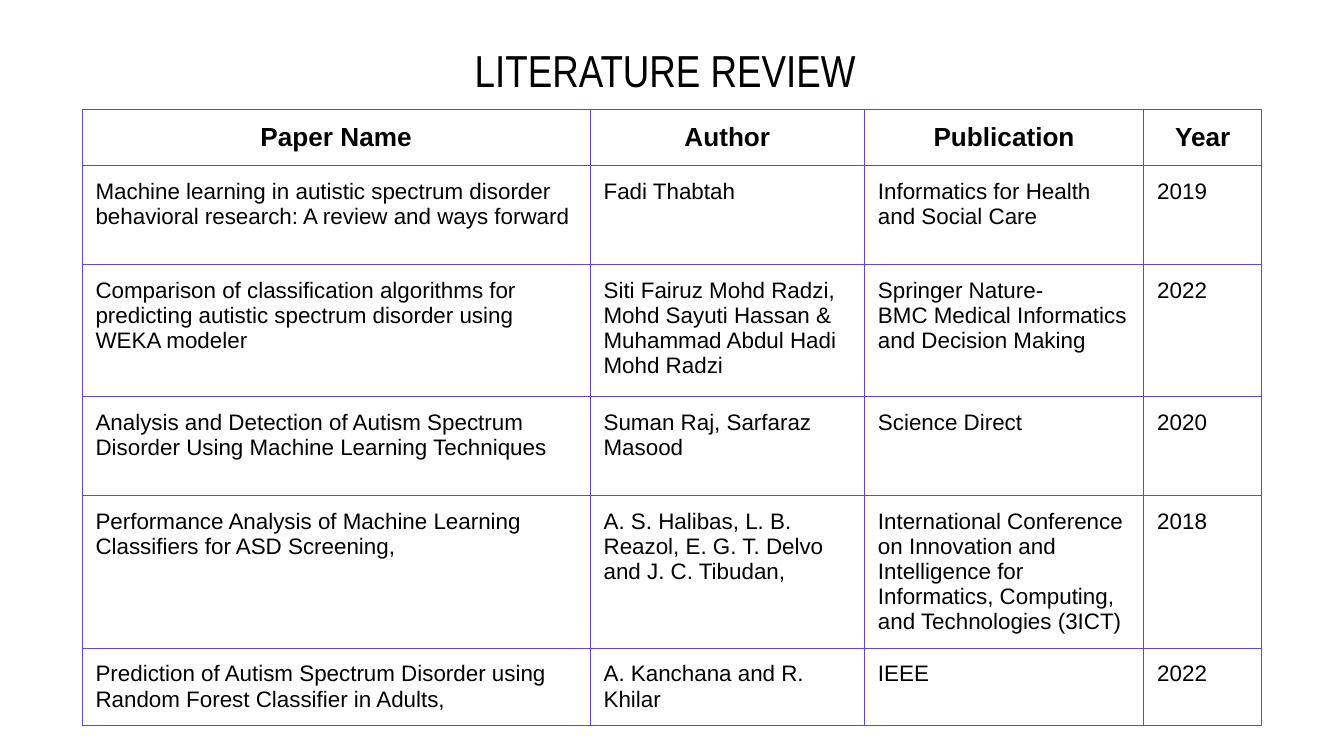
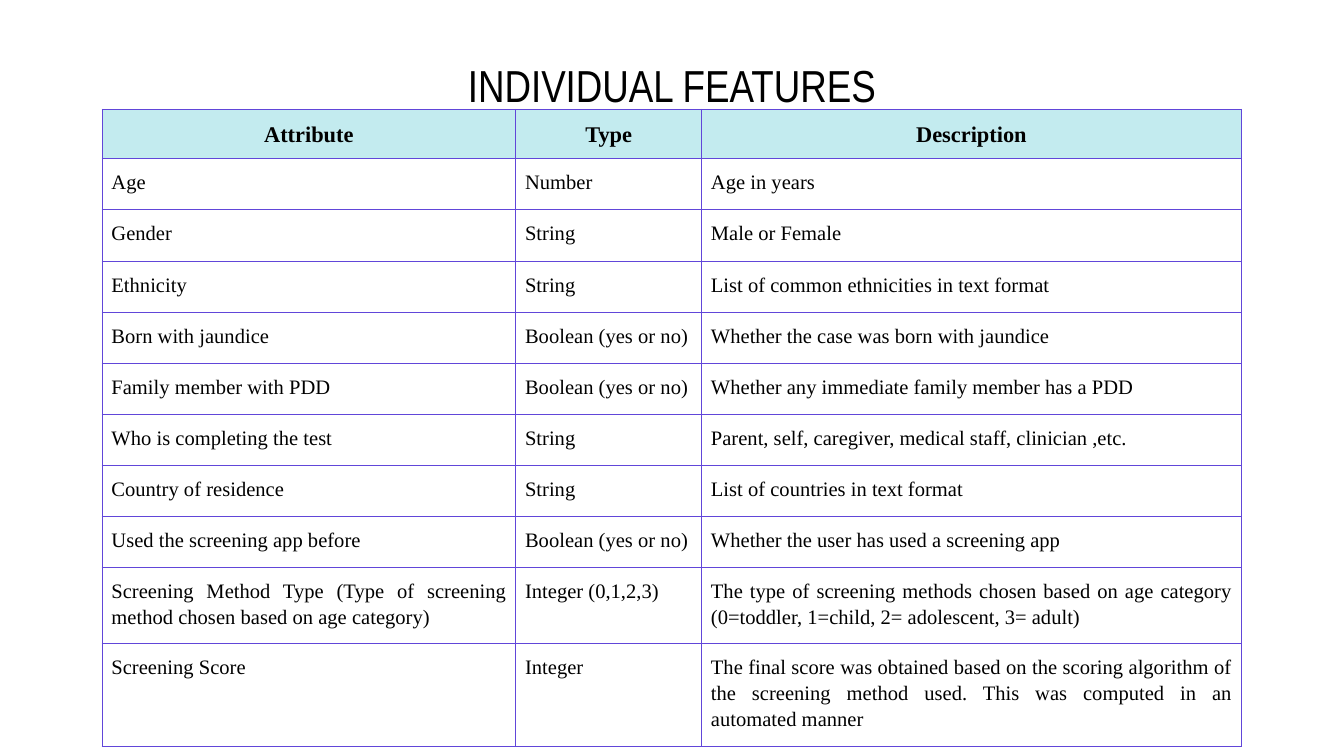
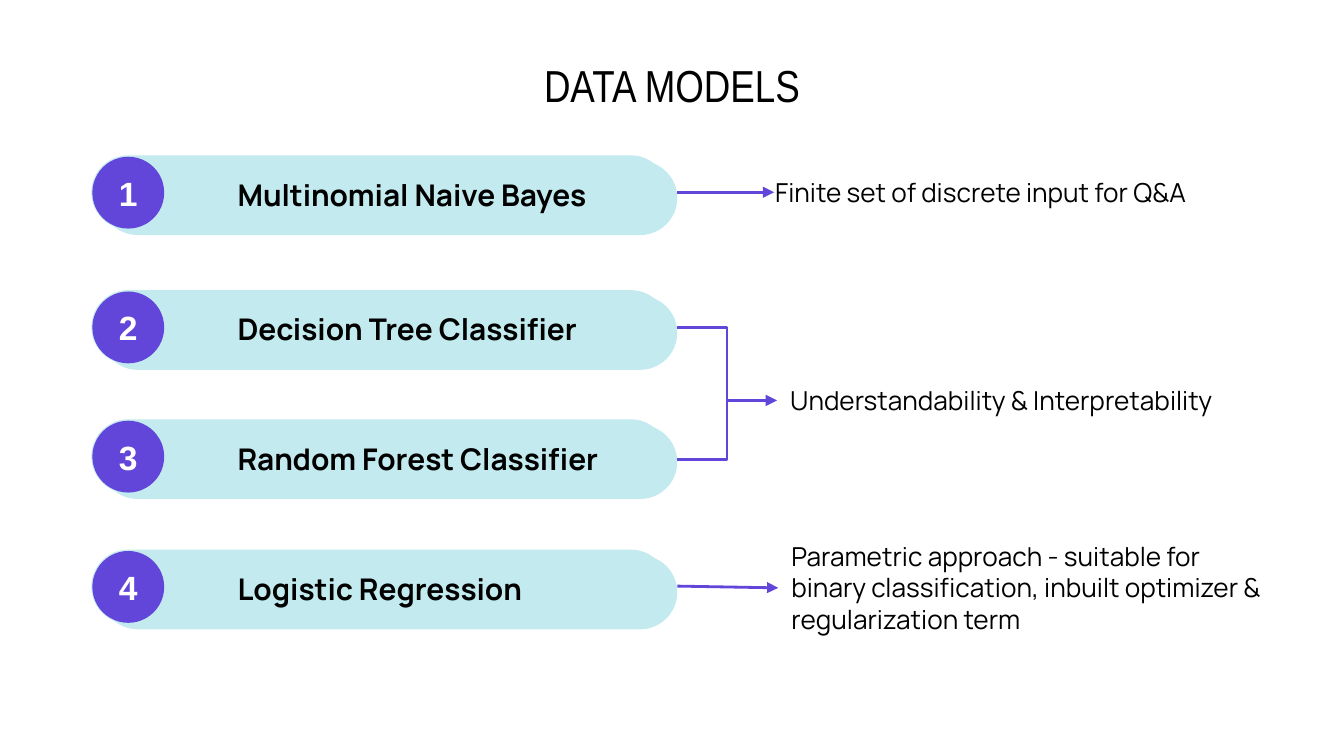
from dataclasses import dataclass

from lxml import etree
from pptx import Presentation
from pptx import util as u
from pptx.dml.color import RGBColor
from pptx.enum import shapes, text
from pptx.oxml import ns

Pt = u.Pt
ALIGN = text.PP_ALIGN


@dataclass(frozen=True)
class Theme:
    ink: str = "000000"
    white: str = "FFFFFF"
    purple: str = "6146D9"
    aqua: str = "C3EBEF"
    title_font: str = "Arial Narrow"
    sans: str = "Arial"
    serif: str = "Times New Roman"
    label_font: str = "Manrope"
    title_size: float = 24
    badge_size: float = 18
    model_size: float = 16
    note_size: float = 14
    inset: float = 7.2
    stroke: float = 1.5


THEME = Theme()


@dataclass(frozen=True)
class TableStyle:
    font: str
    header_size: float
    body_size: float
    body_align: ALIGN
    line_spacing: float
    inset: float
    border: float
    header_fill: str = ""


REVIEW_STYLE = TableStyle(THEME.sans, 14, 12, ALIGN.LEFT, 1.0, 7.2, 0.75)
FEATURE_STYLE = TableStyle(THEME.serif, 12, 11, ALIGN.JUSTIFY, 1.15, 5, 0.5, THEME.aqua)

REVIEW_ROWS = [
    ("Paper Name", "Author", "Publication", "Year"),
    ("Machine learning in autistic spectrum disorder behavioral research: A review and ways forward",
     "Fadi Thabtah", "Informatics for Health and Social Care", "2019"),
    ("Comparison of classification algorithms for predicting autistic spectrum disorder using WEKA modeler",
     "Siti Fairuz Mohd Radzi, Mohd Sayuti Hassan & Muhammad Abdul Hadi Mohd Radzi",
     "Springer Nature-\nBMC Medical Informatics and Decision Making", "2022"),
    ("Analysis and Detection of Autism Spectrum Disorder Using Machine Learning Techniques",
     "Suman Raj, Sarfaraz Masood", "Science Direct", "2020"),
    ("Performance Analysis of Machine Learning Classifiers for ASD Screening,",
     "A. S. Halibas, L. B. Reazol, E. G. T. Delvo and J. C. Tibudan,",
     "International Conference on Innovation and Intelligence for Informatics, Computing, "
     "and Technologies (3ICT)", "2018"),
    ("Prediction of Autism Spectrum Disorder using Random Forest Classifier in Adults,",
     "A. Kanchana and R. Khilar", "IEEE", "2022"),
]

FEATURE_ROWS = [
    ("Attribute", "Type", "Description"),
    ("Age", "Number", "Age in years"),
    ("Gender", "String", "Male or Female"),
    ("Ethnicity", "String", "List of common ethnicities in text format"),
    ("Born with jaundice", "Boolean (yes or no)", "Whether the case was born with jaundice"),
    ("Family member with PDD", "Boolean (yes or no)", "Whether any immediate family member has a PDD"),
    ("Who is completing the test", "String", "Parent, self, caregiver, medical staff, clinician ,etc."),
    ("Country of residence", "String", "List of countries in text format"),
    ("Used the screening app before", "Boolean (yes or no)", "Whether the user has used a screening app"),
    ("Screening Method Type (Type of screening method chosen based on age category)", "Integer (0,1,2,3)",
     "The type of screening methods chosen based on age category "
     "(0=toddler, 1=child, 2= adolescent, 3= adult)"),
    ("Screening Score", "Integer",
     "The final score was obtained based on the scoring algorithm of the screening method used. "
     "This was computed in an automated manner"),
]

MODELS = [
    ("Multinomial Naive Bayes", 84),
    ("Decision Tree Classifier", 156.2),
    ("Random Forest Classifier", 225.4),
    ("Logistic Regression", 295.2),
]


def rgb(color):
    return RGBColor.from_string(color)


def format_text(frame, font, size, color=THEME.ink, bold=False, align=ALIGN.LEFT, spacing=1.0):
    for paragraph in frame.paragraphs:
        paragraph.alignment = align
        paragraph.line_spacing = spacing
        for run in paragraph.runs:
            run.font.name = font
            run.font.size = Pt(size)
            run.font.bold = bold
            run.font.color.rgb = rgb(color)


def set_insets(target, inset):
    target.margin_left = target.margin_right = Pt(inset)
    target.margin_top = target.margin_bottom = Pt(inset)


def add_label(slide, words, left, top, width, height, font, size, **style):
    box = slide.shapes.add_textbox(Pt(left), Pt(top), Pt(width), Pt(height))
    frame = box.text_frame
    frame.word_wrap = True
    set_insets(frame, THEME.inset)
    frame.text = words
    format_text(frame, font, size, **style)
    return box


def add_title(slide, words, left=36, top=32.4):
    title = add_label(slide, words, left, top, 648, 26,
                      THEME.title_font, THEME.title_size, align=ALIGN.CENTER)
    title.text_frame.vertical_anchor = text.MSO_ANCHOR.MIDDLE


def add_borders(cell, width):
    properties = cell._tc.get_or_add_tcPr()
    for side in ("lnL", "lnR", "lnT", "lnB"):
        line = etree.SubElement(properties, ns.qn(f"a:{side}"), w=str(Pt(width)))
        fill = etree.SubElement(line, ns.qn("a:solidFill"))
        etree.SubElement(fill, ns.qn("a:srgbClr"), val=THEME.purple)


def fill_cell(cell, words, style, is_header):
    cell.text = words
    set_insets(cell, style.inset)
    format_text(cell.text_frame, style.font,
                style.header_size if is_header else style.body_size, bold=is_header,
                align=ALIGN.CENTER if is_header else style.body_align, spacing=style.line_spacing)
    add_borders(cell, style.border)
    if is_header and style.header_fill:
        cell.fill.solid()
        cell.fill.fore_color.rgb = rgb(style.header_fill)
    else:
        cell.fill.background()


def add_grid(slide, rows, left, top, widths, heights, style):
    frame = slide.shapes.add_table(len(rows), len(widths), Pt(left), Pt(top),
                                   Pt(sum(widths)), Pt(sum(heights)))
    table = frame.table
    table.first_row = table.horz_banding = False
    for column, width in zip(table.columns, widths):
        column.width = Pt(width)
    for row_index, (row, height, entries) in enumerate(zip(table.rows, heights, rows)):
        row.height = Pt(height)
        for cell, words in zip(row.cells, entries):
            fill_cell(cell, words, style, row_index == 0)


def add_solid(parent, kind, left, top, width, height, color):
    shape = parent.shapes.add_shape(kind, Pt(left), Pt(top), Pt(width), Pt(height))
    shape.shadow.inherit = False
    shape.fill.solid()
    shape.fill.fore_color.rgb = rgb(color)
    shape.line.fill.background()
    return shape


def add_pill(slide, top):
    group = slide.shapes.add_group_shape()
    for left, offset in ((54.7, 3), (49.7, 0)):
        pill = add_solid(group, shapes.MSO_SHAPE.ROUNDED_RECTANGLE,
                         left, top + offset, 307.4, 38.2, THEME.aqua)
        pill.adjustments[0] = 0.5
        pill.line.color.rgb = rgb(THEME.aqua)
        pill.line.width = Pt(THEME.stroke)


def add_badge(slide, number, top):
    badge = add_solid(slide, shapes.MSO_SHAPE.OVAL, 49.5, top, 38.5, 38.5, THEME.purple)
    frame = badge.text_frame
    set_insets(frame, THEME.inset)
    frame.vertical_anchor = text.MSO_ANCHOR.MIDDLE
    frame.text = str(number)
    format_text(frame, THEME.sans, THEME.badge_size, THEME.white, True, ALIGN.CENTER)


def add_model(slide, number, name, top):
    add_pill(slide, top)
    add_label(slide, name, 120.2, top + 3.3, 260.6, 33.8,
              THEME.label_font, THEME.model_size, bold=True)
    add_badge(slide, number, top)


def add_note(slide, words, left, top, width, height):
    return add_label(slide, words, left, top, width, height, THEME.label_font, THEME.note_size)


def add_arrow(slide, start, end, kind=shapes.MSO_CONNECTOR.STRAIGHT, head="triangle", note=None):
    arrow = slide.shapes.add_connector(kind, *map(Pt, start + end))
    if note is not None:
        arrow.end_connect(note, 1)
    arrow.line.color.rgb = rgb(THEME.purple)
    arrow.line.width = Pt(THEME.stroke)
    etree.SubElement(arrow.line._get_or_add_ln(), ns.qn("a:tailEnd"), type=head)
    etree.SubElement(arrow._element.spPr, ns.qn("a:effectLst"))


def build_literature_review(slide):
    add_grid(slide, REVIEW_ROWS, 44, 58.5, (272.2, 147, 149.6, 63.2),
             (30, 53.2, 70.6, 53.2, 81.4, 41.2), REVIEW_STYLE)
    add_title(slide, "LITERATURE REVIEW", 32.4, 24.5)


def build_individual_features(slide):
    add_title(slide, "INDIVIDUAL FEATURES")
    add_grid(slide, FEATURE_ROWS, 54.7, 58.5, (221.6, 99.6, 289.2),
             (25.2, *[27.4] * 8, 38.4, 52), FEATURE_STYLE)


def build_data_models(slide):
    add_title(slide, "DATA MODELS")
    for number, (name, top) in enumerate(MODELS, 1):
        add_model(slide, number, name, top)
    add_note(slide, "Finite set of discrete input for Q&A", 408.2, 87.1, 260.6, 31.7)
    tree_note = add_note(slide, "Understandability & Interpretability", 416.2, 198.7, 289.4, 31.7)
    regression_note = add_note(
        slide, "Parametric approach - suitable for binary classification, "
        "inbuilt optimizer & regularization term", 416.9, 282.2, 270, 65.5)
    elbow = shapes.MSO_CONNECTOR.ELBOW
    add_arrow(slide, (362.9, 103), (414.7, 103))
    add_arrow(slide, (362.9, 175.5), (416.2, 214.55), elbow, note=tree_note)
    add_arrow(slide, (362.9, 246.2), (416.2, 214.55), elbow, "stealth", tree_note)
    add_arrow(slide, (362.9, 314), (416.9, 314.95), note=regression_note)


def main():
    presentation = Presentation()
    presentation.slide_width = Pt(720)
    presentation.slide_height = Pt(405)
    for build in (build_literature_review, build_individual_features, build_data_models):
        build(presentation.slides.add_slide(presentation.slide_layouts[6]))
    presentation.save("out.pptx")


if __name__ == "__main__":
    main()
